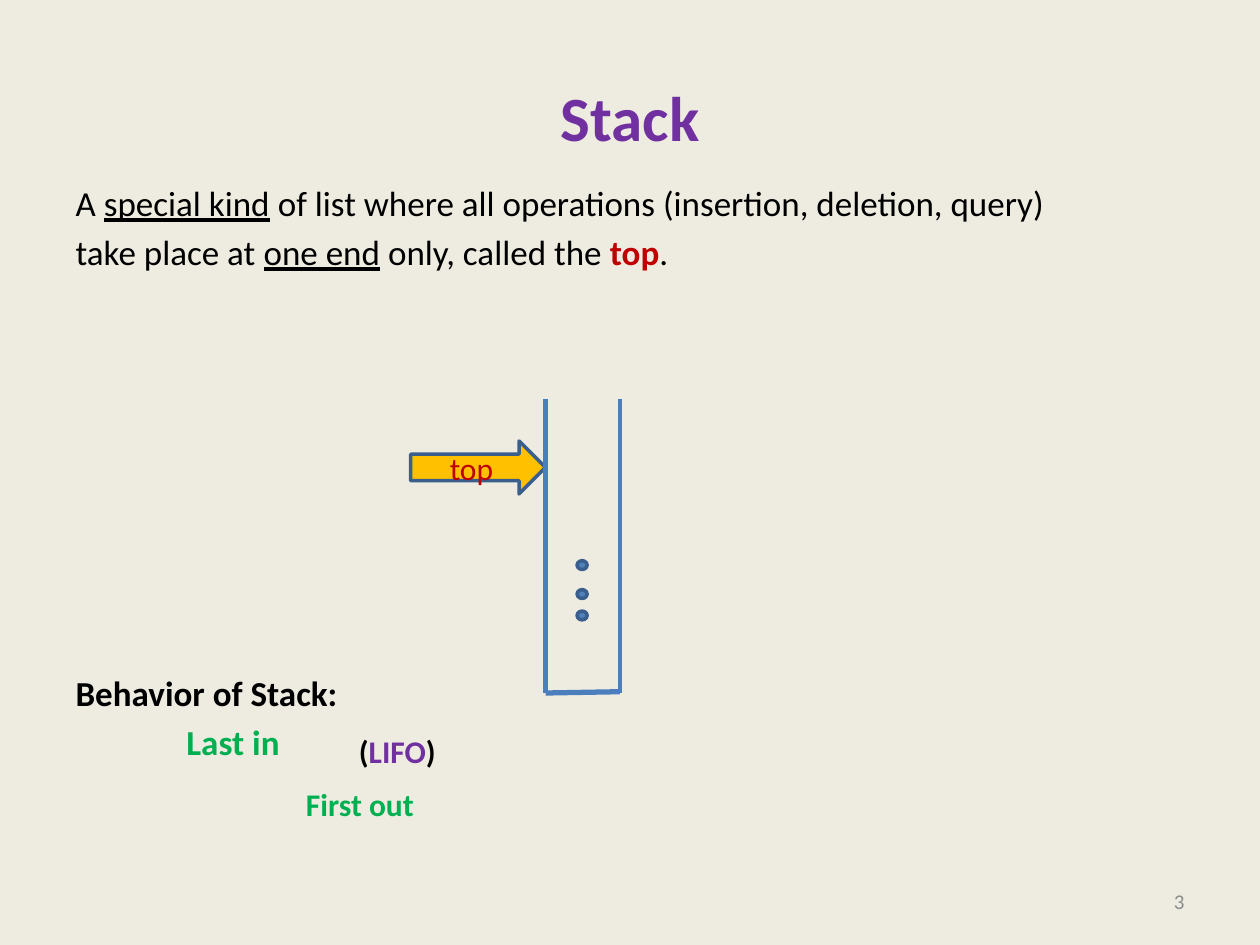
from pptx import Presentation
from pptx.dml.color import RGBColor
from pptx.enum.shapes import MSO_CONNECTOR, MSO_SHAPE
from pptx.enum.text import MSO_ANCHOR, MSO_AUTO_SIZE, PP_ALIGN
from pptx.oxml.ns import qn
from pptx.util import Inches, Pt
from lxml import etree

STRAIGHT = MSO_CONNECTOR.STRAIGHT
ELLIPSE, RIGHT_ARROW = MSO_SHAPE.OVAL, MSO_SHAPE.RIGHT_ARROW
TOP, MIDDLE = MSO_ANCHOR.TOP, MSO_ANCHOR.MIDDLE
LEFT, CENTER, RIGHT = PP_ALIGN.LEFT, PP_ALIGN.CENTER, PP_ALIGN.RIGHT
NO_AUTOFIT = MSO_AUTO_SIZE.NONE

CREAM = RGBColor(0xEE, 0xEC, 0xE1)
BLACK = RGBColor(0x00, 0x00, 0x00)
GRAY = RGBColor(0x8C, 0x8C, 0x8C)
PURPLE = RGBColor(0x70, 0x30, 0xA0)
RED = RGBColor(0xC0, 0x00, 0x00)
GREEN = RGBColor(0x00, 0xB0, 0x50)
GOLD = RGBColor(0xFF, 0xC0, 0x00)
BLUE = RGBColor(0x4F, 0x81, 0xBD)
WALL_BLUE = RGBColor(0x4B, 0x7E, 0xBC)
OUTLINE_BLUE = RGBColor(0x3A, 0x5F, 0x8C)

BOLD = {"bold": True}
UNDERLINE = {"underline": True}


class SlideBuilder:
    font_name = "Calibri"

    def __init__(self, slide):
        self.slide = slide
        slide.background.fill.solid()
        slide.background.fill.fore_color.rgb = CREAM

    def place(self, shape, left, top, width, height):
        box = {"left": left, "top": top, "width": width, "height": height}
        for name, value in box.items():
            setattr(shape, name, Inches(value))

    def add_runs(self, paragraph, runs, size, color=BLACK, align=LEFT):
        paragraph.alignment = align
        for text, style in runs:
            run = paragraph.add_run()
            run.text = text
            style = {"name": self.font_name, "size": Pt(size), "color": color, **style}
            run.font.color.rgb = style.pop("color")
            for name, value in style.items():
                setattr(run.font, name, value)

    def title(self, text, box):
        shape = self.slide.shapes.title
        self.place(shape, *box)
        shape.text_frame.vertical_anchor = MIDDLE
        self.add_runs(shape.text_frame.paragraphs[0], [(text, BOLD)], 36, PURPLE, CENTER)

    def body(self, lines, box):
        shape = self.slide.placeholders[1]
        self.place(shape, *box)
        frame = shape.text_frame
        frame.auto_size = NO_AUTOFIT
        for index, (runs, space_before, indent) in enumerate(lines):
            paragraph = frame.add_paragraph() if index else frame.paragraphs[0]
            properties = paragraph._p.get_or_add_pPr()
            properties.set("marL", str(Inches(indent)))
            properties.set("indent", "0")
            etree.SubElement(properties, qn("a:buNone"))
            paragraph.space_before = Pt(space_before)
            self.add_runs(paragraph, runs, 20)

    def label(self, runs, box, size=18, color=BLACK, align=LEFT, anchor=TOP, wrap=False):
        frame = self.slide.shapes.add_textbox(*map(Inches, box)).text_frame
        frame.word_wrap = wrap
        frame.vertical_anchor = anchor
        self.add_runs(frame.paragraphs[0], runs, size, color, align)

    def shape(self, kind, box, fill, text=None):
        shape = self.slide.shapes.add_shape(kind, *map(Inches, box))
        shape.shadow.inherit = False
        shape.fill.solid()
        shape.fill.fore_color.rgb = fill
        shape.line.color.rgb = OUTLINE_BLUE
        shape.line.width = Pt(2)
        if text:
            shape.text_frame.vertical_anchor = MIDDLE
            self.add_runs(shape.text_frame.paragraphs[0], [(text, {})], 18, RED, CENTER)

    def line(self, start, end, width):
        connector = self.slide.shapes.add_connector(STRAIGHT, *map(Inches, start + end))
        connector.line.color.rgb = WALL_BLUE
        connector.line.width = Pt(width)
        etree.SubElement(connector._element.spPr, qn("a:effectLst"))


def main():
    presentation = Presentation()
    presentation.slide_width = Inches(10)
    presentation.slide_height = Inches(7.5)
    builder = SlideBuilder(presentation.slides.add_slide(presentation.slide_layouts[1]))

    builder.title("Stack", (0.5, 0.3, 9, 1.25))
    builder.body([
        ([("A ", {}), ("special kind", UNDERLINE),
          (" of list where all operations (insertion, deletion, query)", {})], 0, 0),
        ([("take place at ", {}), ("one end", UNDERLINE), (" only, called the ", {}),
          ("top", {"color": RED, **BOLD}), (".", {})], 4, 0),
        ([("Behavior of Stack:", BOLD)], 228, 0),
        ([("Last in", {"color": GREEN, **BOLD})], 4, 0.88),
    ], (0.5, 1.39, 9, 4.95))
    builder.label([("3", {})], (7.17, 6.95, 2.33, 0.4), 12, GRAY, RIGHT, MIDDLE, True)

    for dot_top in (4.45, 4.68, 4.85):
        builder.shape(ELLIPSE, (4.58, dot_top, 0.08, 0.07), BLUE)
    builder.shape(RIGHT_ARROW, (3.26, 3.5, 1.07, 0.42), GOLD, "top")

    builder.label([("First out", BOLD)], (2.33, 6.18, 1.07, 0.4), color=GREEN)
    builder.label([("(", BOLD), ("LIFO", {"color": PURPLE, **BOLD}), (")", BOLD)],
                  (2.75, 5.76, 0.82, 0.4))

    wall_left, wall_right, wall_top, wall_bottom = 4.33, 4.92, 3.17, 5.5
    builder.line((wall_left, wall_top), (wall_left, wall_bottom), 3)
    builder.line((wall_right, wall_top), (wall_right, wall_bottom), 2.25)
    builder.line((wall_left, wall_bottom), (wall_right, 5.49), 3)

    presentation.save("out.pptx")


if __name__ == "__main__":
    main()
